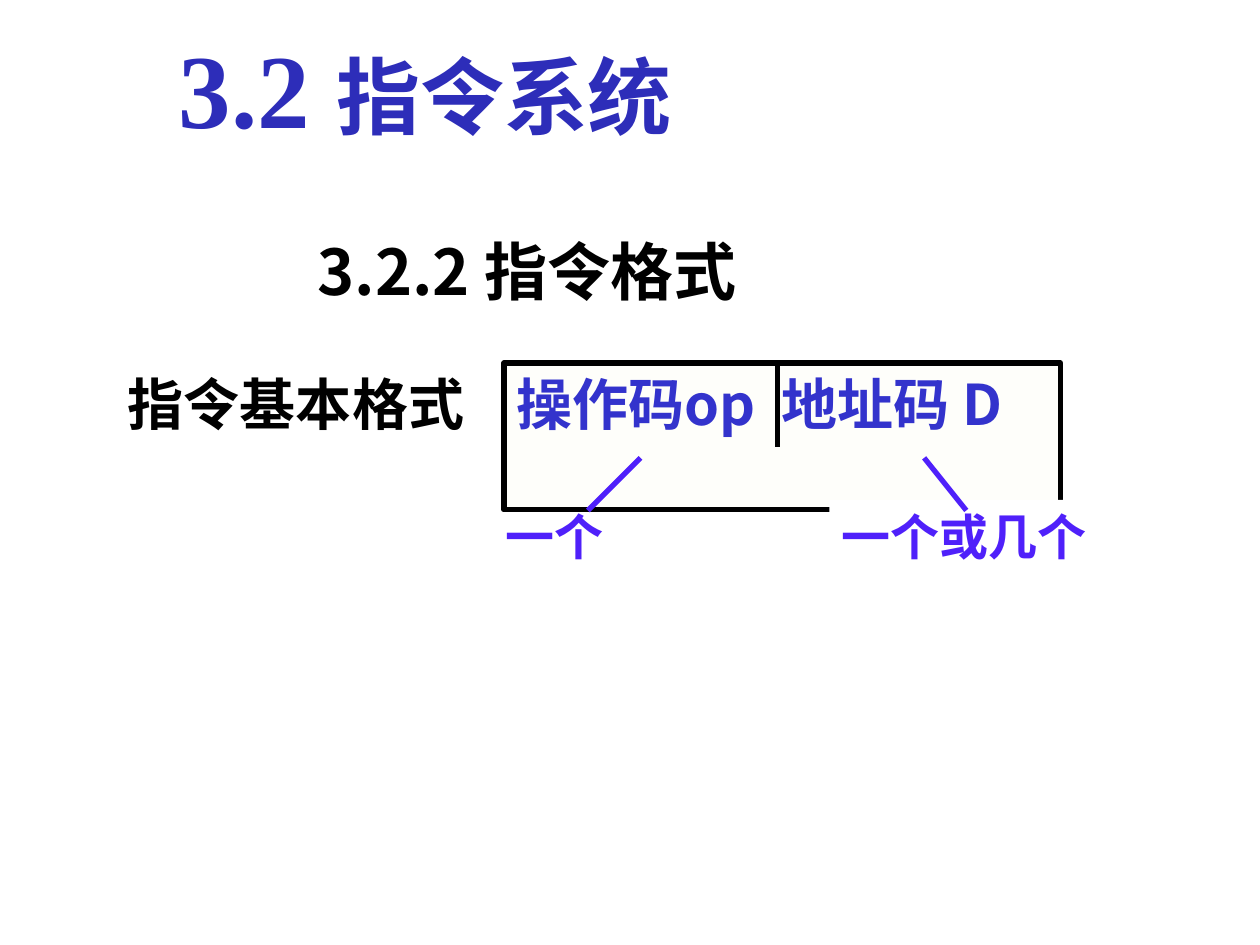
from dataclasses import dataclass

from lxml.etree import SubElement
from pptx import Presentation
from pptx.dml.color import RGBColor
from pptx.enum.shapes import MSO_CONNECTOR, MSO_SHAPE
from pptx.enum.text import MSO_ANCHOR, PP_ALIGN
from pptx.oxml.ns import qn
from pptx.util import Cm, Pt


@dataclass(frozen=True)
class Theme:
    """Colours, type sizes and fonts of the slide."""
    title: str = "2D2DB9"
    ink: str = "000000"
    code: str = "3333CC"
    note: str = "4F20FA"
    paper: str = "FFFFFF"
    field: str = "FEFEFA"
    number_size: int = 60
    title_size: int = 48
    heading_size: int = 36
    body_size: int = 32
    note_size: int = 28
    line: int = 3
    sans: str = "Noto Sans CJK SC"
    serif: str = "Times New Roman"


T = Theme()


def rgb(value):
    """Turn a hex string into a colour."""
    return RGBColor.from_string(value)


def write(s, runs, color):
    """Write bold runs of (text, size, font) into a shape."""
    tf = s.text_frame
    tf.word_wrap = True
    tf.vertical_anchor = MSO_ANCHOR.TOP
    p = tf.paragraphs[0]
    p.alignment = PP_ALIGN.LEFT
    for text, size, font in runs:
        r = p.add_run()
        r.text = text
        r.font.size = Pt(size)
        r.font.bold = True
        r.font.name = font
        r.font.color.rgb = rgb(color)
        SubElement(r.font._element, qn("a:ea"), typeface=T.sans)


def add_text(shapes, box, runs, color):
    """Add a text box in the given box in centimetres."""
    s = shapes.add_textbox(*map(Cm, box))
    write(s, runs, color)


def add_panel(shapes, box, fill, runs, color, outline=None):
    """Add a filled rectangle with text and an optional outline."""
    s = shapes.add_shape(MSO_SHAPE.RECTANGLE, *map(Cm, box))
    s.shadow.inherit = False
    s.fill.solid()
    s.fill.fore_color.rgb = rgb(fill)
    if outline:
        s.line.color.rgb = rgb(outline)
        s.line.width = Pt(T.line)
    else:
        s.line.fill.background()
    write(s, runs, color)


def add_line(shapes, start, end, color):
    """Add a straight line between two points in centimetres."""
    s = shapes.add_connector(MSO_CONNECTOR.STRAIGHT, *map(Cm, start + end))
    s.line.color.rgb = rgb(color)
    s.line.width = Pt(T.line)
    SubElement(s._element.spPr, qn("a:effectLst"))


def add_headings(shapes, x, y):
    """Place the chapter title and the section heading."""
    title = [("3.2 ", T.number_size, T.serif), ("指令系统", T.title_size, T.sans)]
    add_text(shapes, (x, y, 17.15, 2.8), title, T.title)
    heading = [("3.2.2 指令格式", T.heading_size, T.sans)]
    add_text(shapes, (x + 2.8, y + 4.23, 13.34, 1.78), heading, T.ink)


def add_format(shapes, x, y):
    """Place the row label and the two-field instruction word."""
    label = [("指令基本格式", T.body_size, T.serif)]
    add_panel(shapes, (x, y, 8.68, 1.62), T.paper, label, T.ink)
    word = shapes.add_group_shape().shapes
    fields = [("操作码", T.body_size, T.serif),
              ("op  地址码 D", T.body_size, T.sans)]
    add_panel(word, (x + 7.83, y, 11.22, 2.96), T.field, fields, T.code, T.ink)
    add_line(word, (x + 13.34, y), (x + 13.34, y + 1.69), T.ink)


def add_counts(shapes, x, y):
    """Place the notes below the fields and their pointers."""
    one = [("一个", T.note_size, T.serif)]
    several = [("一个或几个", T.note_size, T.serif)]
    top, tip = y - 0.85, y + 0.21
    add_line(shapes, (x + 2.96, top), (x + 1.9, tip), T.note)
    add_text(shapes, (x, y, 3.39, 1.45), one, T.note)
    add_panel(shapes, (x + 6.77, y, 5.72, 1.45), T.paper, several, T.note)
    add_line(shapes, (x + 8.68, top), (x + 9.53, tip), T.note)


def main():
    """Build the slide and save it."""
    prs = Presentation()
    prs.slide_width, prs.slide_height = Cm(25.4), Cm(19.05)
    shapes = prs.slides.add_slide(prs.slide_layouts[6]).shapes
    add_headings(shapes, 3.35, 0.34)
    add_format(shapes, 2.33, 7.32)
    add_counts(shapes, 9.95, 10.08)
    prs.save("out.pptx")


if __name__ == "__main__":
    main()
